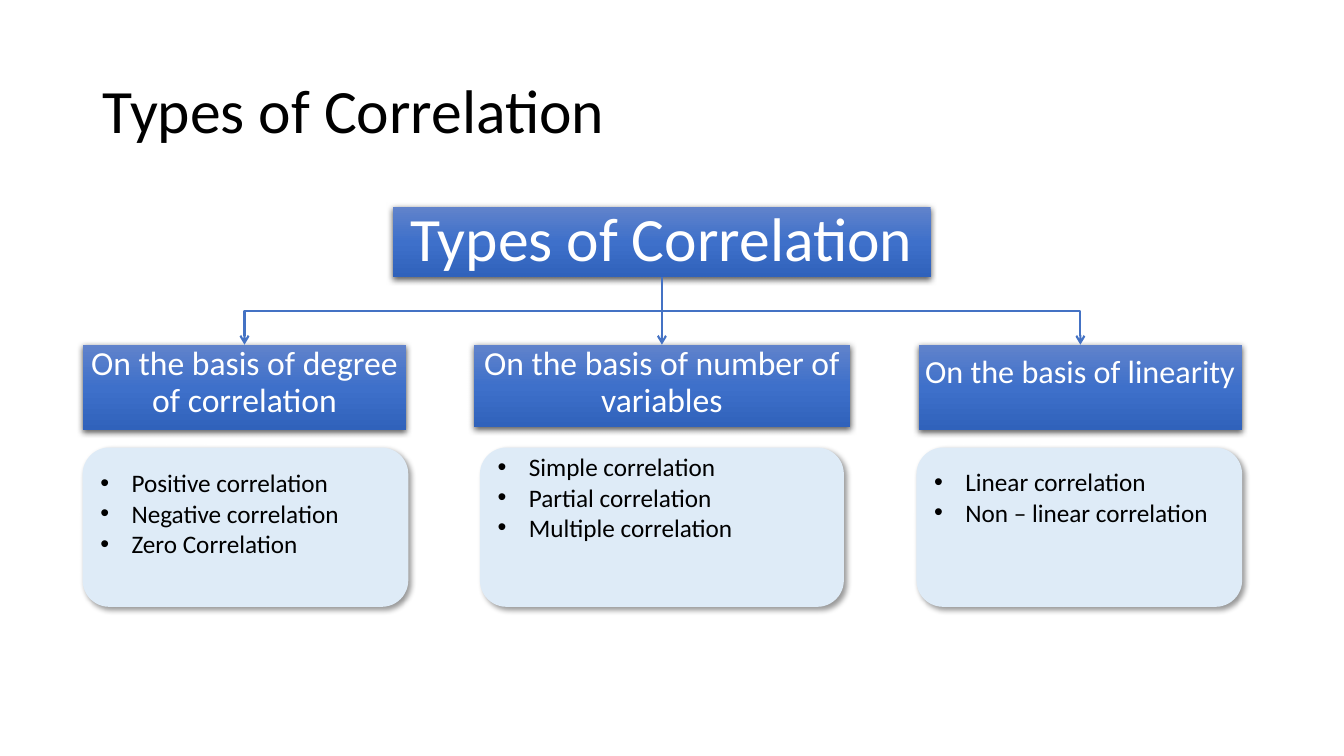
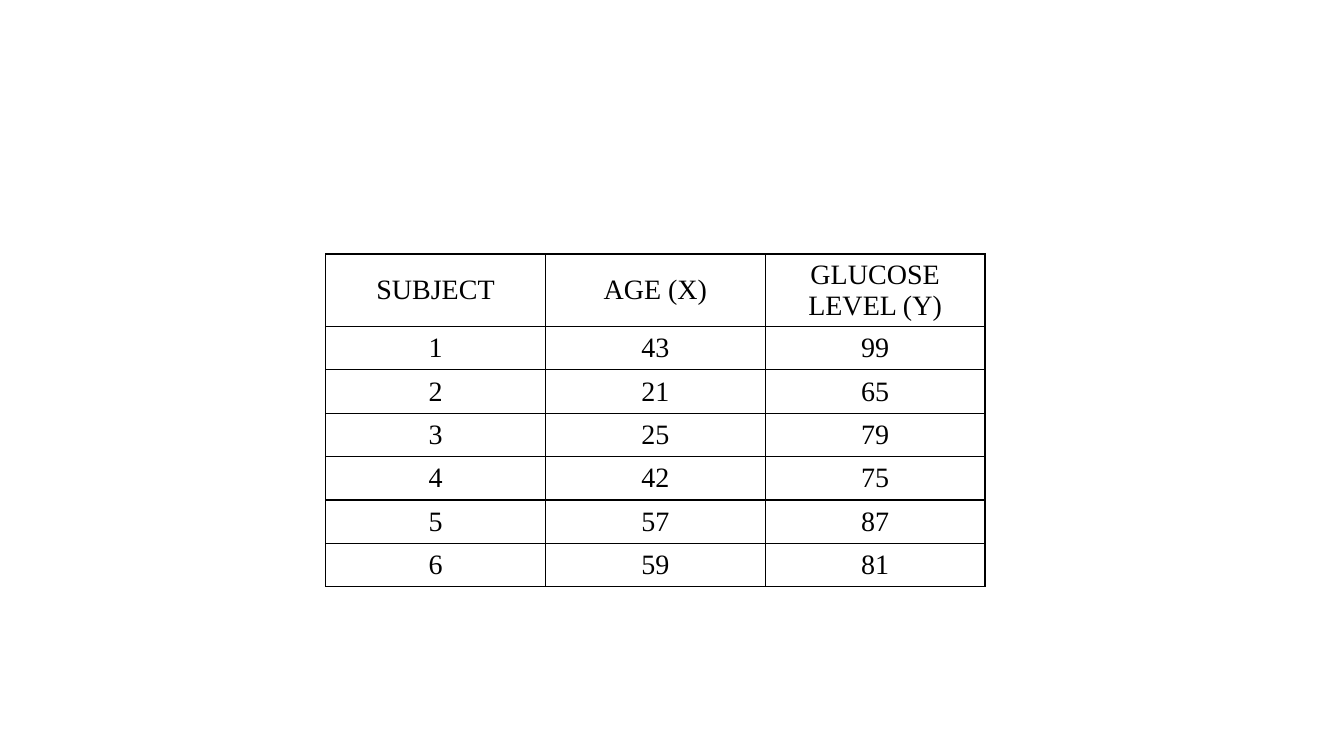
import pptx
import pptx.dml.color
import pptx.enum.shapes
import pptx.enum.text
import pptx.oxml
import pptx.oxml.ns
import pptx.util
from lxml import etree

Inches = pptx.util.Inches
Pt = pptx.util.Pt
RGBColor = pptx.dml.color.RGBColor
qn = pptx.oxml.ns.qn
Shape = pptx.enum.shapes.MSO_SHAPE
Connector = pptx.enum.shapes.MSO_CONNECTOR
Align = pptx.enum.text.PP_ALIGN
Anchor = pptx.enum.text.MSO_ANCHOR

BLACK = RGBColor(0x00, 0x00, 0x00)
WHITE = RGBColor(0xFF, 0xFF, 0xFF)
BLUE = RGBColor(0x44, 0x72, 0xC4)
PALE_BLUE = RGBColor(0xDE, 0xEB, 0xF7)
GRADIENT = (RGBColor(0x61, 0x83, 0xCB), RGBColor(0x3E, 0x70, 0xCA), RGBColor(0x30, 0x62, 0xBB))

SANS = "Calibri"
SERIF = "Times New Roman"
LAYOUT_TITLE_ONLY = 5
LAYOUT_BLANK = 6

TITLE = "Types of Correlation"
BRANCHES = [
    dict(heading="On the basis of degree of correlation", size=24, head_box=(0.82, 3.42, 3.21, 0.85),
         head_inset=0.02, card_box=(0.82, 4.44, 3.23, 1.58), card_bottom=0.28,
         items=["Positive correlation", "Negative correlation", "Zero Correlation"]),
    dict(heading="On the basis of number of variables", size=24, head_box=(4.7, 3.42, 3.73, 0.82),
         head_inset=0.02, card_box=(4.76, 4.44, 3.61, 1.58), card_bottom=0.6,
         items=["Simple correlation", "Partial correlation", "Multiple correlation"]),
    dict(heading="On the basis of linearity", size=23, head_box=(9.11, 3.42, 3.21, 0.85),
         head_inset=0.11, card_box=(9.09, 4.44, 3.23, 1.58), card_bottom=0.6,
         items=["Linear correlation", "Non – linear correlation"]),
]
GLUCOSE_ROWS = [
    ("SUBJECT", "AGE (X)", "GLUCOSE LEVEL (Y)"),
    (1, 43, 99),
    (2, 21, 65),
    (3, 25, 79),
    (4, 42, 75),
    (5, 57, 87),
    (6, 59, 81),
]


def xml(markup):
    """Build one DrawingML element."""
    return pptx.oxml.parse_xml(markup.replace(" ", f' {pptx.oxml.ns.nsdecls("a")} ', 1))


def write(frame, lines, size=18, font=SANS, color=BLACK, align=Align.LEFT, anchor=Anchor.MIDDLE,
          spacing=None, insets=(0.1, 0.05, 0.1, 0.05), bullet=False):
    """Fill a text frame with formatted paragraphs."""
    frame.word_wrap = True
    frame.vertical_anchor = anchor
    frame.margin_left, frame.margin_top, frame.margin_right, frame.margin_bottom = map(Inches, insets)
    for index, line in enumerate(lines):
        para = frame.add_paragraph() if index else frame.paragraphs[0]
        if bullet:
            properties = para._p.get_or_add_pPr()
            properties.set("marL", str(Inches(0.31)))
            properties.set("indent", str(Inches(-0.31)))
            properties.append(xml('<a:buFont typeface="Arial"/>'))
            properties.append(xml('<a:buChar char="•"/>'))
        para.alignment = align
        if spacing:
            para.line_spacing = spacing
        span = para.add_run()
        span.text = str(line)
        span.font.size = Pt(size)
        span.font.name = font
        span.font.color.rgb = color


def add_box(page, kind, box, blur, distance, angle, alpha):
    """Add an unlined shape with a soft shadow."""
    shape = page.shapes.add_shape(kind, *map(Inches, box))
    shape.line.fill.background()
    shape.shadow.inherit = False
    shape._element.spPr.find(qn("a:effectLst")).append(xml(
        f'<a:outerShdw blurRad="{Pt(blur)}" dist="{Pt(distance)}" dir="{angle * 60000}" '
        f'algn="ctr" rotWithShape="0"><a:srgbClr val="{BLACK}">'
        f'<a:alpha val="{alpha * 1000}"/></a:srgbClr></a:outerShdw>'))
    return shape


def add_heading(page, box, text, **text_format):
    """Add a blue gradient heading box."""
    shape = add_box(page, Shape.RECTANGLE, box, blur=4.5, distance=1.5, angle=90, alpha=63)
    shape.fill.background()
    stops = "".join(f'<a:gs pos="{index * 50000}"><a:srgbClr val="{color}"/></a:gs>'
                    for index, color in enumerate(GRADIENT))
    properties = shape._element.spPr
    properties.replace(properties.find(qn("a:noFill")), xml(
        f'<a:gradFill rotWithShape="1"><a:gsLst>{stops}</a:gsLst>'
        '<a:lin ang="5400000" scaled="0"/></a:gradFill>'))
    write(shape.text_frame, [text], color=WHITE, align=Align.CENTER, spacing=0.9, **text_format)
    return shape


def add_card(page, box, items, bottom):
    """Add a rounded card with a bulleted list."""
    card = add_box(page, Shape.ROUNDED_RECTANGLE, box, blur=4, distance=3, angle=45, alpha=40)
    card.fill.solid()
    card.fill.fore_color.rgb = PALE_BLUE
    write(card.text_frame, items, insets=(0.1, 0, 0.1, bottom), bullet=True)


def join_boxes(page, parent, child):
    """Run an arrow from the parent's bottom to the child's top."""
    start_x, start_y = parent.left + parent.width // 2, parent.top + parent.height
    end_x, end_y = child.left + child.width // 2, child.top
    across, down = end_x - start_x, end_y - start_y
    straight = abs(across) < Inches(0.01)
    kind = Connector.STRAIGHT if straight else Connector.ELBOW
    arrow = page.shapes.add_connector(kind, start_x, start_y, end_x, end_y)
    arrow.begin_connect(parent, 2)
    arrow.end_connect(child, 0)
    properties = arrow._element.spPr
    if not straight:
        arrow.left = (start_x + end_x - down) // 2
        arrow.top = (start_y + end_y - abs(across)) // 2
        arrow.width, arrow.height = down, abs(across)
        frame = properties.find(qn("a:xfrm"))
        frame.set("rot", "16200000" if across > 0 else "5400000")
        frame.set("flipH", "1" if across > 0 else "0")
    arrow.line.color.rgb = BLUE
    arrow.line.width = Pt(1.5)
    properties.find(qn("a:ln")).append(xml('<a:tailEnd type="arrow"/>'))
    etree.SubElement(properties, qn("a:effectLst"))


def add_title(page, text, box):
    """Place and format the title placeholder."""
    title = page.shapes.title
    title.left, title.top, title.width, title.height = map(Inches, box)
    write(title.text_frame, [text], size=44, spacing=0.9)


def add_tree_slide(deck):
    """Add the slide with the tree of correlation types."""
    page = deck.slides.add_slide(deck.slide_layouts[LAYOUT_TITLE_ONLY])
    add_title(page, TITLE, (0.92, 0.4, 11.5, 1.45))
    root = add_heading(page, (3.9, 2.05, 5.33, 0.7), TITLE, size=44, insets=(0.03,) * 4)
    for branch in BRANCHES:
        heading = add_heading(page, branch["head_box"], branch["heading"], size=branch["size"],
                              anchor=Anchor.TOP, insets=(0.02, branch["head_inset"], 0.02, 0.02))
        join_boxes(page, root, heading)
        add_card(page, branch["card_box"], branch["items"], branch["card_bottom"])


def format_cell(cell, value, margin):
    """Write one table cell with thin black borders and no fill."""
    write(cell.text_frame, [value], size=20, font=SERIF, align=Align.CENTER)
    cell.vertical_anchor = Anchor.MIDDLE
    cell.margin_left = cell.margin_right = Inches(0.1)
    cell.margin_top = cell.margin_bottom = Inches(margin)
    properties = cell._tc.get_or_add_tcPr()
    for side in "LRTB":
        properties.append(xml(f'<a:ln{side} w="{Pt(1)}"><a:solidFill><a:srgbClr val="{BLACK}"/>'
                              f'</a:solidFill></a:ln{side}>'))
    cell.fill.background()


def add_glucose_table(page, left, top, width, head_height, row_height):
    """Add the table of ages and glucose levels."""
    count = len(GLUCOSE_ROWS)
    columns = len(GLUCOSE_ROWS[0])
    height = head_height + row_height * (count - 1)
    table = page.shapes.add_table(count, columns, *map(Inches, (left, top, width, height))).table
    table.first_row = False
    table.horz_banding = False
    for row_index, values in enumerate(GLUCOSE_ROWS):
        table.rows[row_index].height = Inches(row_height if row_index else head_height)
        for column_index, value in enumerate(values):
            format_cell(table.cell(row_index, column_index), value, 0.06 if row_index else 0.05)


def add_table_slide(deck):
    """Add the slide with the table."""
    page = deck.slides.add_slide(deck.slide_layouts[LAYOUT_BLANK])
    add_glucose_table(page, 3.23, 2.52, 6.54, 0.72, 0.43)


def main():
    """Build and save the deck."""
    deck = pptx.Presentation()
    deck.slide_width = Inches(13.33)
    deck.slide_height = Inches(7.5)
    add_tree_slide(deck)
    add_table_slide(deck)
    deck.save("out.pptx")


if __name__ == "__main__":
    main()
